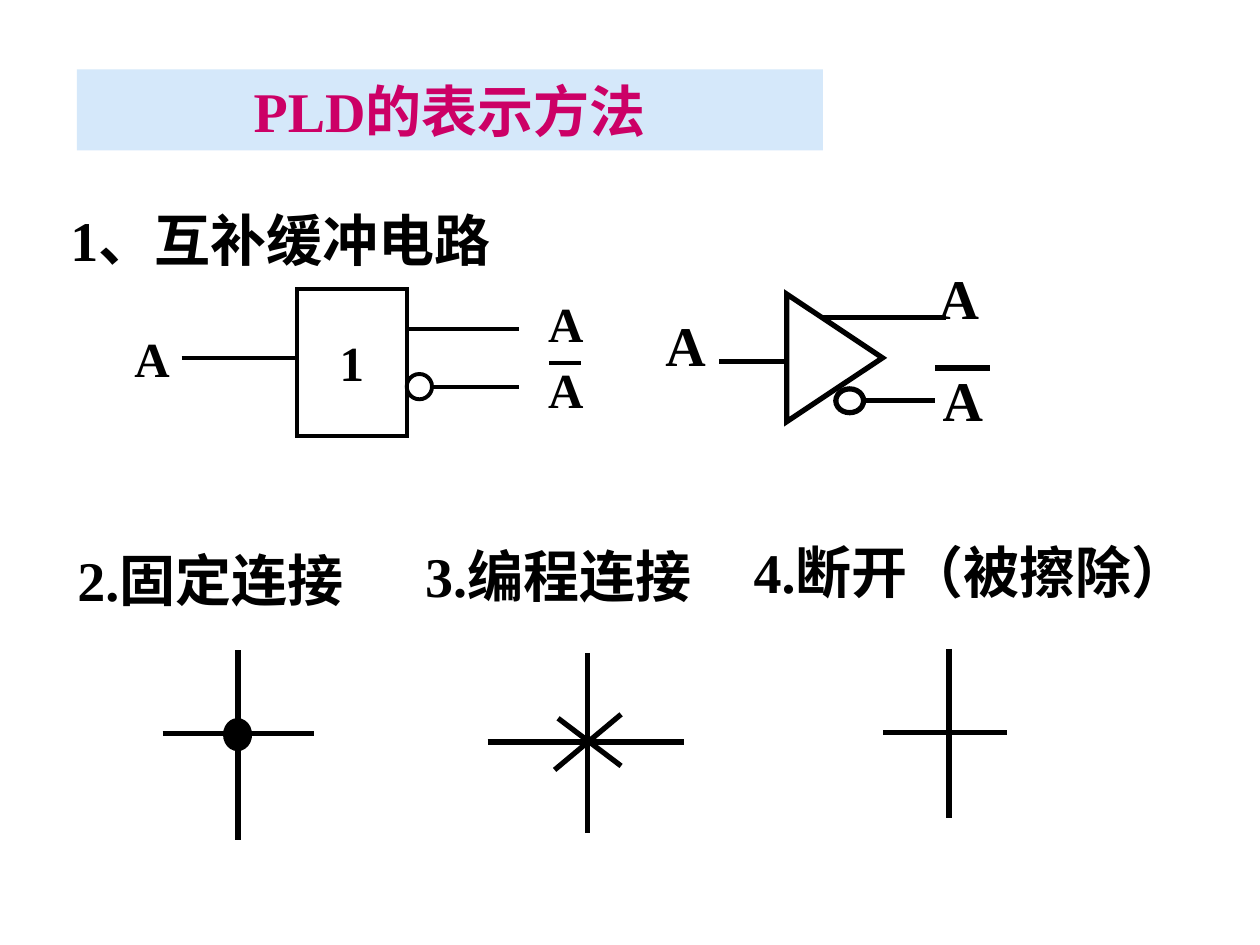
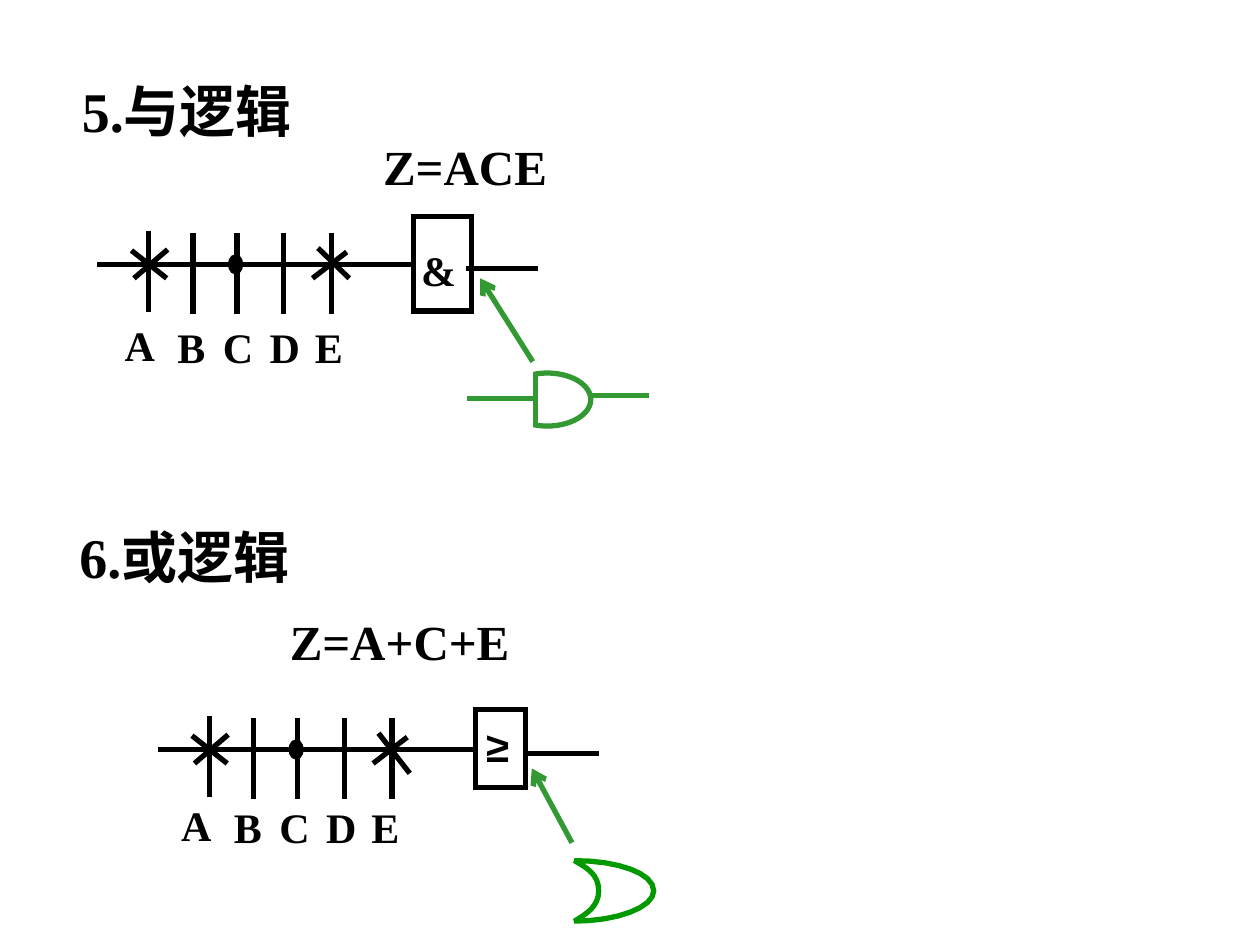
from dataclasses import dataclass

from lxml import etree
from pptx import Presentation
from pptx import util as u
from pptx.dml import color
from pptx.enum import shapes, text
from pptx.oxml import ns

Cm = u.Cm
KIND = shapes.MSO_SHAPE
ALIGN = text.PP_ALIGN


@dataclass(frozen=True)
class Theme:
    ink: str = "000000"
    paper: str = "FFFFFF"
    band: str = "D5E8FA"
    rose: str = "CC0066"
    green: str = "339933"
    leaf: str = "009900"
    face: str = "Times New Roman"
    sans: str = "Arial"
    head: int = 32
    mid: int = 28
    small: int = 24
    thin: float = 2.25
    thick: float = 3


T = Theme()


def rgb(tone):
    return color.RGBColor.from_string(tone)


def write(shape, words, size=T.head, tone=T.ink, face=T.face,
          align=ALIGN.CENTER, anchor=text.MSO_ANCHOR.MIDDLE, wrap=False):
    frame = shape.text_frame
    frame.auto_size = text.MSO_AUTO_SIZE.NONE
    frame.word_wrap = wrap
    frame.vertical_anchor = anchor
    frame.margin_left = frame.margin_right = Cm(0.25)
    frame.margin_top = frame.margin_bottom = Cm(0.13)
    frame.text = words
    para = frame.paragraphs[0]
    para.alignment = align
    font = para.font
    font.name, font.size, font.bold = face, u.Pt(size), True
    font.color.rgb = rgb(tone)


def bend(start, arcs, steps=8):
    points = [start]
    for arc in arcs:
        a, b, c, d = points[-1], *arc
        for i in range(1, steps + 1):
            t = i / steps
            s = 1 - t
            points.append(tuple(
                s**3 * p + 3 * s * s * t * q + 3 * s * t * t * r + t**3 * e
                for p, q, r, e in zip(a, b, c, d)))
    return points


class Board:
    def __init__(self, deck):
        self.deck = deck
        self.slide = None

    def page(self, words, x, y, w, h, fill=None, tone=T.ink):
        self.slide = self.deck.slides.add_slide(self.deck.slide_layouts[5])
        title = self.slide.shapes.title
        title.left, title.top, title.width, title.height = map(Cm, (x, y, w, h))
        if fill:
            title.fill.solid()
            title.fill.fore_color.rgb = rgb(fill)
        write(title, words, tone=tone)

    def label(self, words, x, y, w, h=1.63, **fmt):
        box = self.slide.shapes.add_textbox(*map(Cm, (x, y, w, h)))
        write(box, words, **fmt)

    def paint(self, shape, fill, tone, width):
        shape.shadow.inherit = False
        if fill:
            shape.fill.solid()
            shape.fill.fore_color.rgb = rgb(fill)
        else:
            shape.fill.background()
        if tone:
            shape.line.color.rgb = rgb(tone)
            shape.line.width = u.Pt(width)
            edge = shape.line._get_or_add_ln()
            etree.SubElement(edge, ns.qn("a:miter"), lim="800000")
        else:
            shape.line.fill.background()

    def shape(self, kind, x, y, w, h, fill=None, tone=T.ink, width=T.thick):
        item = self.slide.shapes.add_shape(kind, *map(Cm, (x, y, w, h)))
        self.paint(item, fill, tone, width)
        return item

    def curve(self, start, arcs, tone):
        points = [(Cm(x), Cm(y)) for x, y in bend(start, arcs)]
        path = self.slide.shapes.build_freeform(*points[0])
        path.add_line_segments(points[1:-1], close=True)
        self.paint(path.convert_to_shape(), None, tone, T.thick)

    def line(self, x1, y1, x2, y2, tone=T.ink, width=T.thick, arrow=False):
        wire = self.slide.shapes.add_connector(
            shapes.MSO_CONNECTOR.STRAIGHT, *map(Cm, (x1, y1, x2, y2)))
        wire.line.color.rgb = rgb(tone)
        wire.line.width = u.Pt(width)
        if arrow:
            edge = wire.line._get_or_add_ln()
            etree.SubElement(edge, ns.qn("a:tailEnd"), type="arrow")
        etree.SubElement(wire._element.spPr, ns.qn("a:effectLst"))

    def cross(self, x, y, left, right, top, bottom):
        self.line(x, top, x, bottom)
        self.line(left, y, right, y)

    def input_row(self, x, y, drop=0.28, shift=(0, 0)):
        self.line(x, y, x + 6.35, y)
        self.line(x + 7.44, y + 0.08, x + 8.89, y + 0.08)
        bars = (1.04, 1.93, 2.82, 3.76, 4.72)
        spots = (0.86, 1.9, 2.84, 3.78, 4.67)
        for name, bar, spot in zip("ABCDE", bars, spots):
            lift = 0.04 if name == "A" else 0
            self.line(x + bar, y - 0.64 - lift, x + bar, y + 0.99 - lift)
            self.label(name, x + spot - 0.55 + shift[0],
                       y + 1.02 - lift + shift[1], 1.1, 1.27, size=T.small)
        strokes = ((0.69, -0.28, 1.4, 0.28), (1.42, -0.3, 0.74, 0.28),
                   (5.03, -0.25, 4.34, 0.28), (4.45, -0.33, 5.08, drop))
        for x1, y1, x2, y2 in strokes:
            self.line(x + x1, y + y1, x + x2, y + y2)
        self.shape(KIND.OVAL, x + 2.69, y - 0.15, 0.2, 0.3, fill=T.ink)


def symbols(b):
    b.page("PLD的表示方法", 1.55, 1.4, 15.04, 1.63, fill=T.band, tone=T.rose)
    left = dict(align=ALIGN.LEFT, anchor=text.MSO_ANCHOR.TOP, wrap=True)
    b.label("1、互补缓冲电路", 1.17, 4.01, 10.8, **left)

    box = b.shape(KIND.RECTANGLE, 5.99, 5.82, 2.21, 2.97, width=T.thin)
    write(box, "1", size=T.mid)
    b.shape(KIND.OVAL, 8.2, 7.54, 0.51, 0.51, width=T.thin)
    for x1, x2, y in ((8.2, 10.46, 6.63), (8.69, 10.46, 7.8),
                      (3.66, 5.99, 7.21), (11.07, 11.71, 7.32)):
        b.line(x1, y, x2, y, width=T.thin)
    for x, y in ((2.46, 6.5), (10.8, 5.79), (10.8, 7.11)):
        b.label("A", x, y, 1.4, 1.45, size=T.mid, **left)

    b.shape(KIND.ISOSCELES_TRIANGLE, 15.54, 6.25, 2.57, 1.93,
            fill=T.paper).rotation = 90
    b.shape(KIND.OVAL, 16.85, 7.84, 0.56, 0.48, fill=T.paper)
    for x1, x2, y in ((14.5, 15.88, 7.29), (17.4, 18.85, 8.08),
                      (16.59, 19.08, 6.4), (18.85, 19.96, 7.42)):
        b.line(x1, y, x2, y)
    for x, y in ((13.16, 6.12), (18.67, 5.18), (18.75, 7.24)):
        b.label("A", x, y, 1.32)

    for words, x, y, w in (("2.固定连接", 1.17, 10.85, 6.15),
                           ("3.编程连接", 8.18, 10.77, 6.15),
                           ("4.断开（被擦除）", 14.81, 10.69, 9.53)):
        b.label(words, x, y, w)
    b.cross(4.8, 14.78, 3.28, 6.32, 13.11, 16.94)
    b.shape(KIND.OVAL, 4.55, 14.53, 0.48, 0.56, fill=T.ink)
    b.cross(11.84, 14.96, 9.83, 13.79, 13.16, 16.79)
    b.line(12.52, 14.4, 11.18, 15.52)
    b.line(11.25, 14.48, 12.52, 15.44)
    b.cross(19.13, 14.76, 17.81, 20.29, 13.08, 16.48)


def gates(b):
    b.page("5.与逻辑", 0.77, 1.4, 6, 1.63)
    b.label("Z=ACE", 7.47, 2.62, 3.81, 1.45, size=T.mid)
    b.shape(KIND.RECTANGLE, 8.33, 4.37, 1.17, 1.9, fill=T.paper)
    b.label("&", 8.23, 4.8, 1.22, 1.27, size=T.small)
    b.input_row(1.96, 5.33)

    b.shape(KIND.OVAL, 10.16, 7.52, 1.75, 1.07, tone=T.green)
    b.shape(KIND.RECTANGLE, 9.78, 7.29, 0.97, 1.52, fill=T.paper, tone=None)
    b.line(11.91, 7.98, 13.08, 7.98, tone=T.green)
    b.line(9.42, 8.03, 10.74, 8.03, tone=T.green)
    b.line(10.8, 7.52, 10.8, 8.61, tone=T.green)
    b.line(10.74, 7.29, 9.68, 5.61, tone=T.green, arrow=True)

    b.label("6.或逻辑", 1.22, 10.39, 5)
    b.label("Z=A+C+E", 5.59, 12.19, 4.93, 1.45, size=T.mid)
    b.shape(KIND.RECTANGLE, 9.58, 14.3, 1.02, 1.57, fill=T.paper)
    b.label("≥", 9.45, 14.4, 1.17, 1.27, size=T.small, face=T.sans)
    b.input_row(3.18, 15.11, drop=0.48, shift=(-0.08, -0.1))

    b.curve((11.58, 17.35), (
        ((11.84, 17.5), (12.07, 17.63), (12.07, 17.96)),
        ((12.07, 18.26), (11.84, 18.42), (11.58, 18.57)),
        ((12.45, 18.57), (13.18, 18.29), (13.18, 17.96)),
        ((13.18, 17.6), (12.45, 17.35), (11.58, 17.35))), T.leaf)
    b.line(11.53, 16.99, 10.72, 15.49, tone=T.green, arrow=True)


def main():
    deck = Presentation()
    deck.slide_width, deck.slide_height = Cm(25.4), Cm(19.05)
    board = Board(deck)
    symbols(board)
    gates(board)
    deck.save("out.pptx")


if __name__ == "__main__":
    main()
